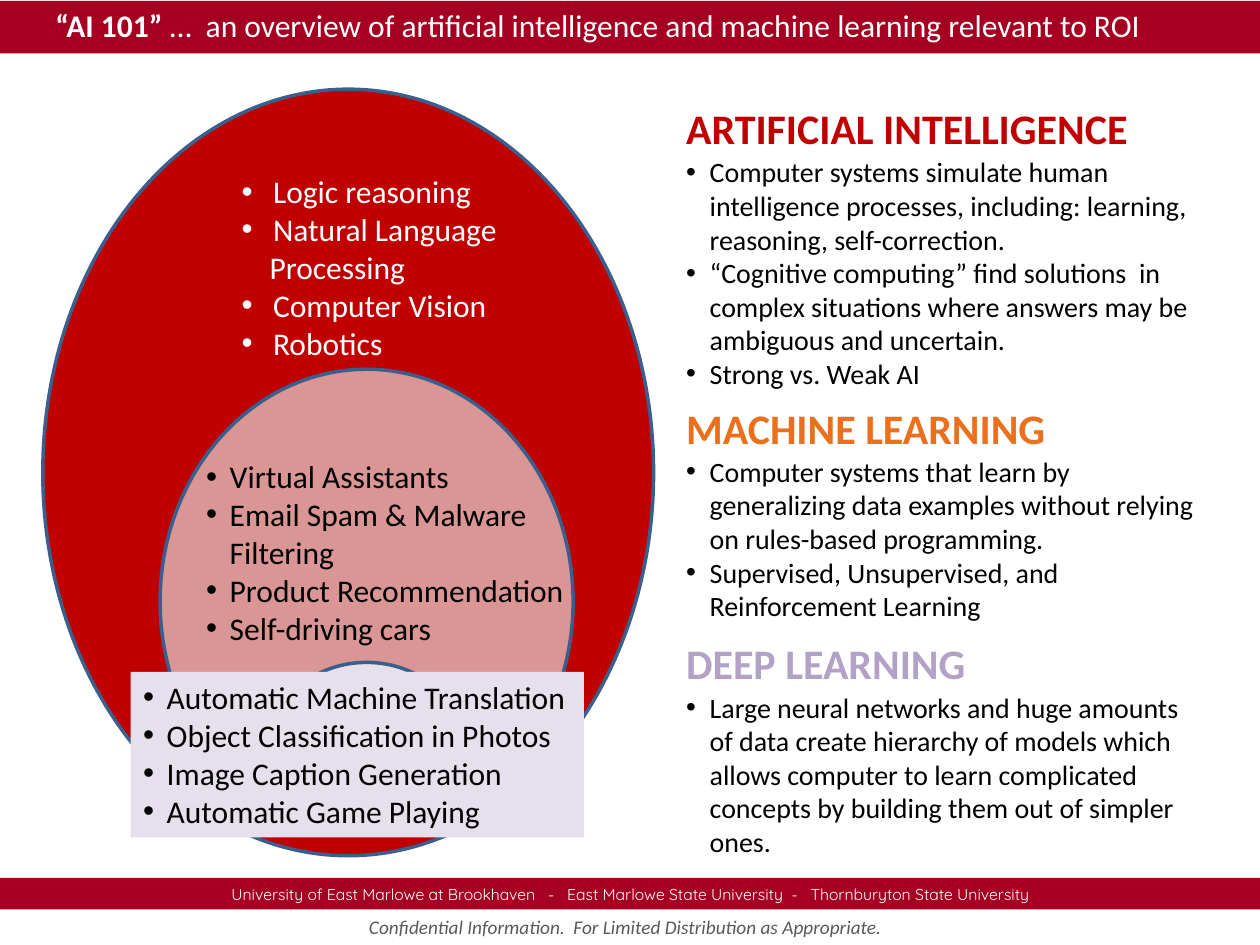
from pptx import Presentation, util as u
from pptx.dml.color import RGBColor
from pptx.enum import shapes, text
from pptx.oxml import ns
from lxml import etree

Pt = u.Pt
COLORS = {
    "band": "A50021", "ai": "C00000", "ml": "D99694", "dl": "E6E0EC",
    "outline": "3A5F8C", "ml_head": "EB701D", "dl_head": "B3A2C7",
    "white": "FFFFFF", "black": "000000", "gray": "595959",
}
INDENT = 13.5

RINGS = [  # fill, left, top, width, height
    ("ai", 24.5, 51, 349, 438),
    ("ml", 91.5, 211, 236, 265.5),
    ("dl", 154, 378.5, 111, 98),
]
SECTIONS = [  # heading, colour, top, body height, bullets
    ("ARTIFICIAL INTELLIGENCE", "ai", 55.2, 143, [
        "Computer systems simulate human intelligence processes, including: "
        "learning, reasoning, self-correction.",
        "“Cognitive computing” find solutions  in complex situations where "
        "answers may be ambiguous and uncertain.",
        "Strong vs. Weak AI"]),
    ("MACHINE LEARNING", "ml_head", 226.3, 126, [
        "Computer systems that learn by generalizing data examples without "
        "relying on rules-based programming.",
        "Supervised, Unsupervised, and Reinforcement Learning"]),
    ("DEEP LEARNING", "dl_head", 361, 104.5, [
        "Large neural networks and huge amounts of data create hierarchy of "
        "models which allows computer to learn complicated concepts by "
        "building them out of simpler ones."]),
]
ML_EXAMPLES = ["Virtual Assistants", "Email Spam & Malware Filtering",
               "Product Recommendation", "Self-driving cars"]
DL_EXAMPLES = ["Automatic Machine Translation", "Object Classification in Photos",
               "Image Caption Generation", "Automatic Game Playing"]


def rgb(name):
    return RGBColor.from_string(COLORS[name])


def add_figure(page, kind, place, fill, line=None):
    figure = page.shapes.add_shape(kind, *map(Pt, place))
    figure.shadow.inherit = False
    figure.fill.solid()
    figure.fill.fore_color.rgb = rgb(fill)
    if line:
        figure.line.color.rgb = rgb(line)
        figure.line.width = Pt(2)
    else:
        figure.line.fill.background()
    return figure


def add_box(page, place):
    return page.shapes.add_textbox(*map(Pt, place))


def set_frame(box, anchor=text.MSO_ANCHOR.TOP):
    frame = box.text_frame
    values = {"word_wrap": True, "vertical_anchor": anchor,
              "auto_size": text.MSO_AUTO_SIZE.SHAPE_TO_FIT_TEXT}
    for name, value in values.items():
        setattr(frame, name, value)
    return frame


def add_span(para, words, size, color, font="Calibri", **values):
    span = para.add_run()
    span.text = words
    span.font.color.rgb = rgb(color)
    values.update(size=Pt(size), name=font)
    for name, value in values.items():
        setattr(span.font, name, value)


def set_bullet(para, indent):
    """Give the paragraph a round bullet with a hanging indent."""
    props = para._p.get_or_add_pPr()
    props.set("marL", str(Pt(indent)))
    props.set("indent", str(-Pt(indent)))
    etree.SubElement(props, ns.qn("a:buFont")).set("typeface", "Arial")
    etree.SubElement(props, ns.qn("a:buChar")).set("char", "•")


def write_list(box, items, size, color="black", indent=INDENT):
    frame = set_frame(box)
    for number, item in enumerate(items):
        para = frame.add_paragraph() if number else frame.paragraphs[0]
        para.alignment = text.PP_ALIGN.LEFT
        set_bullet(para, indent)
        add_span(para, item, size, color)
    return frame


def write_line(box, words, size, color, align=text.PP_ALIGN.LEFT,
               anchor=text.MSO_ANCHOR.TOP, **values):
    para = set_frame(box, anchor).paragraphs[0]
    para.alignment = align
    add_span(para, words, size, color, **values)
    return para


def add_ai_examples(page):
    """List the AI examples, with one continuation line that has no bullet."""
    box = add_box(page, (131, 95, 183, 116.5))
    items = ["Logic reasoning", "Natural Language", "Processing",
             "Computer Vision", "Robotics"]
    frame = write_list(box, items, 18, "white", 18)
    props = frame.paragraphs[2]._p.pPr
    for child in list(props):
        props.remove(child)
    etree.SubElement(props, ns.qn("a:buNone"))
    props.set("marL", str(Pt(16)))
    props.set("indent", "0")


def add_section(page, heading, color, top, height, bullets):
    left = 385
    write_line(add_box(page, (left, top, 294, 36)), heading, 24, color, bold=True)
    write_list(add_box(page, (left, top + 29.8, 304.5, height)), bullets, 16)


def add_header(page):
    add_figure(page, shapes.MSO_SHAPE.RECTANGLE, (0, 0.5, 720, 30), "band")
    para = write_line(add_box(page, (24.5, 0, 652.5, 29)), "“AI 101” ",
                      18, "white", bold=True)
    add_span(para, "…  an overview of artificial intelligence and machine "
             "learning relevant to ROI", 18, "white", bold=False)


def add_footer(page):
    center = text.PP_ALIGN.CENTER
    band = add_figure(page, shapes.MSO_SHAPE.RECTANGLE, (0, 501.7, 720, 18), "band")
    write_line(band, "University of East Marlowe at Brookhaven   -   East Marlowe "
               "State University  -   Thornburyton State University", 9, "white",
               center, text.MSO_ANCHOR.MIDDLE, font="Quicksand")
    write_line(add_box(page, (102, 519.4, 511, 21)),
               "Confidential Information.  For Limited Distribution as Appropriate.",
               11, "gray", center, italic=True)


def main():
    deck = Presentation()
    deck.slide_width, deck.slide_height = Pt(720), Pt(540)
    page = deck.slides.add_slide(deck.slide_layouts[6])
    for fill, *place in RINGS:
        add_figure(page, shapes.MSO_SHAPE.OVAL, place, fill, "outline")
    for section in SECTIONS:
        add_section(page, *section)
    add_ai_examples(page)
    write_list(add_box(page, (110.7, 257.8, 222.5, 116.5)), ML_EXAMPLES, 18)
    panel = add_figure(page, shapes.MSO_SHAPE.RECTANGLE, (74.7, 384, 259, 94.5), "dl")
    write_list(panel, DL_EXAMPLES, 18)
    add_header(page)
    add_footer(page)
    deck.save("out.pptx")


if __name__ == "__main__":
    main()
